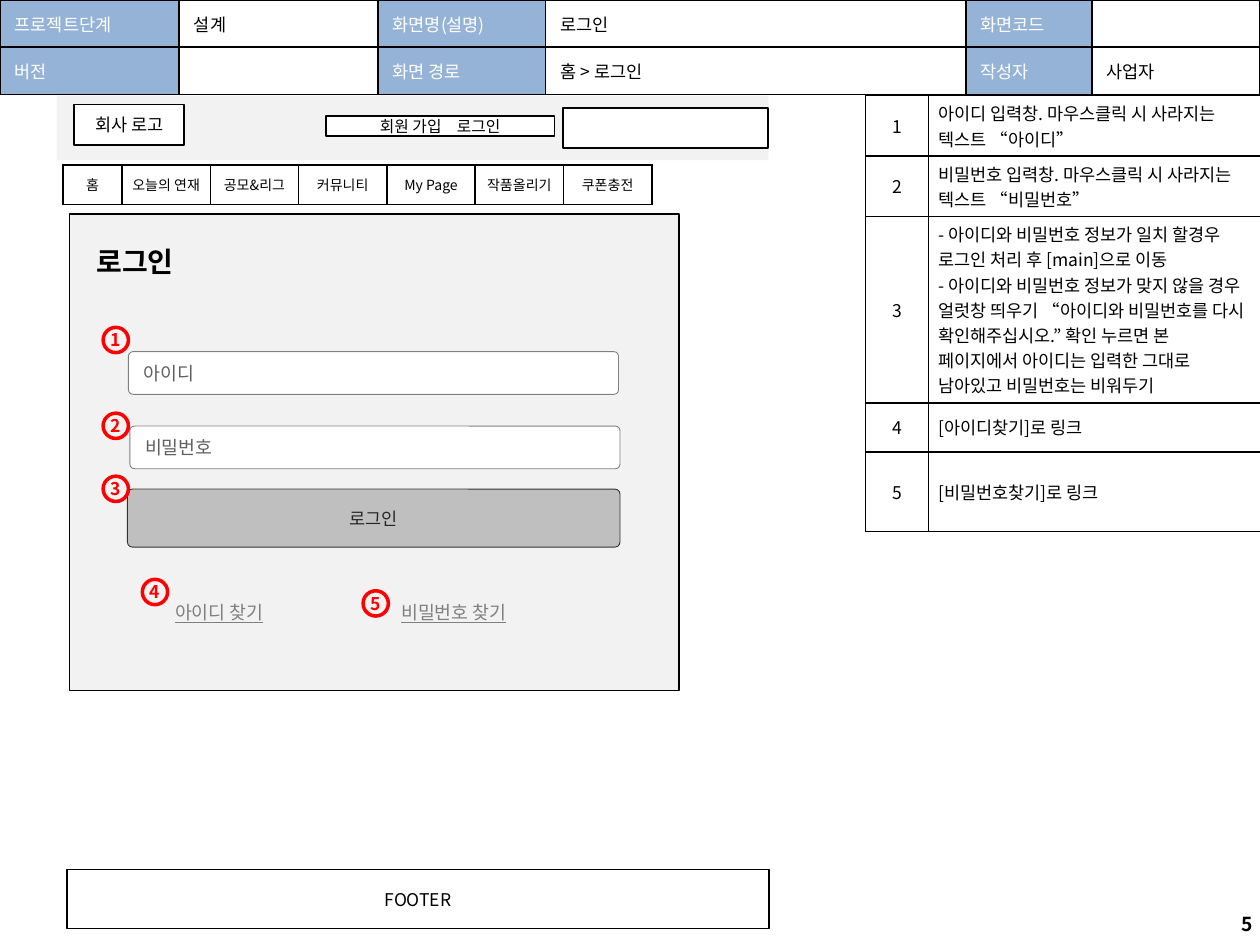
import pptx
import pptx.dml.color
import pptx.enum.shapes
import pptx.enum.text
import pptx.oxml
import pptx.oxml.ns
import pptx.util
from lxml import etree

Cm = pptx.util.Cm
Pt = pptx.util.Pt
Kind = pptx.enum.shapes.MSO_SHAPE
Align = pptx.enum.text.PP_ALIGN
Anchor = pptx.enum.text.MSO_ANCHOR
qn = pptx.oxml.ns.qn


def color(value):
    return pptx.dml.color.RGBColor.from_string(value)


class Wireframe:
    font = "Noto Sans CJK KR"
    black = "000000"
    white = "FFFFFF"
    gray = "F2F2F2"
    label = "95B3D7"
    marker = "FF0000"

    def __init__(self, slide):
        self.slide = slide

    def set_text(self, frame, text, size=10, ink=black, align=Align.LEFT,
                 font=font, bold=False, underline=False):
        frame.text = text
        for paragraph in frame.paragraphs:
            paragraph.alignment = align
            for run in paragraph.runs:
                run.font.size = Pt(size)
                run.font.name = font
                run.font.bold = bold
                run.font.underline = underline
                run.font.color.rgb = color(ink)
                east_asian = etree.SubElement(run.font._element, qn("a:ea"))
                east_asian.set("typeface", self.font)
            if not paragraph.runs:
                end = etree.SubElement(paragraph._p, qn("a:endParaRPr"))
                end.set("sz", str(int(size * 100)))

    def insets(self, frame, horizontal, vertical):
        frame.margin_left = frame.margin_right = Cm(horizontal)
        frame.margin_top = frame.margin_bottom = Cm(vertical)

    def shape(self, box, kind=Kind.RECTANGLE, fill=white, line=black, width=1,
              text="", inset=None, radius=None, align=Align.CENTER, **style):
        shape = self.slide.shapes.add_shape(kind, *map(Cm, box))
        shape.shadow.inherit = False
        if radius is not None:
            shape.adjustments[0] = radius
        if fill:
            shape.fill.solid()
            shape.fill.fore_color.rgb = color(fill)
        else:
            shape.fill.background()
        if line:
            shape.line.color.rgb = color(line)
            shape.line.width = Pt(width)
        else:
            shape.line.fill.background()
        if text:
            frame = shape.text_frame
            frame.word_wrap = True
            frame.vertical_anchor = Anchor.MIDDLE
            if inset:
                self.insets(frame, *inset)
            self.set_text(frame, text, align=align, **style)
        return shape

    def text(self, box, text, inset=None, **style):
        frame = self.slide.shapes.add_textbox(*map(Cm, box)).text_frame
        frame.word_wrap = True
        frame.vertical_anchor = Anchor.MIDDLE
        if inset:
            self.insets(frame, *inset)
        self.set_text(frame, text, **style)

    def field(self, left, top, text):
        self.shape((left, top, 9.88, 0.86), Kind.ROUNDED_RECTANGLE, line="808080",
                   width=0.5, text=text, inset=(0.28, 0.18), radius=0.108,
                   align=Align.LEFT, size=10.5, font="Roboto", ink="5F5F5F")

    def link(self, left, text):
        self.text((left, 12.14, 3.56, 0.41), text, size=10.5, ink="808080",
                  align=Align.CENTER, underline=True)

    def badge(self, number, left, top):
        self.shape((left, top, 0.51, 0.51), Kind.OVAL, fill=None, line=self.marker,
                   width=2, text=str(number), inset=(0, 0), ink=self.marker, bold=True)

    def border(self, cell):
        properties = cell._tc.get_or_add_tcPr()
        for side in ("lnL", "lnR", "lnT", "lnB"):
            line = etree.SubElement(properties, qn("a:" + side), w=str(Pt(1)))
            fill = etree.SubElement(line, qn("a:solidFill"))
            etree.SubElement(fill, qn("a:srgbClr"), val=self.black)

    def table(self, left, top, columns, heights, rows, inset, centered=(),
              labels=(), fill=None, size=10):
        frame = self.slide.shapes.add_table(
            len(rows), len(columns), Cm(left), Cm(top), Cm(sum(columns)), Cm(sum(heights)))
        table = frame.table
        table.first_row = table.horz_banding = False
        for column, width in zip(table.columns, columns):
            column.width = Cm(width)
        for row, height, texts in zip(table.rows, heights, rows):
            row.height = Cm(height)
            for index, (cell, text) in enumerate(zip(row.cells, texts)):
                is_label = index in labels
                self.border(cell)
                cell_fill = self.label if is_label else fill
                if cell_fill:
                    cell.fill.solid()
                    cell.fill.fore_color.rgb = color(cell_fill)
                else:
                    cell.fill.background()
                cell.vertical_anchor = Anchor.MIDDLE
                self.insets(cell, *inset)
                self.set_text(cell.text_frame, text, size=size,
                              ink=self.white if is_label else self.black,
                              align=Align.CENTER if index in centered else Align.LEFT)


def main():
    presentation = pptx.Presentation()
    presentation.slide_width = Cm(25.4)
    presentation.slide_height = Cm(19.05)
    page = Wireframe(presentation.slides.add_slide(presentation.slide_layouts[6]))

    page.shape((1.4, 4.32, 12.29, 9.6), fill=page.gray)
    page.shape((1.14, 1.93, 14.35, 1.3), fill=page.gray, line=None)

    page.table(0, 0, (3.61, 4.01, 3.38, 8.47, 2.54, 3.39), (0.95, 0.95), [
        ("프로젝트단계", "설계", "화면명(설명)", "로그인", "화면코드", ""),
        ("버전", "", "화면 경로", "홈 > 로그인", "작성자", "사업자"),
    ], inset=(0.3, 0.1), labels=(0, 2, 4))

    notes = (
        "아이디 입력창. 마우스클릭 시 사라지는 텍스트 “아이디”",
        "비밀번호 입력창. 마우스클릭 시 사라지는 텍스트 “비밀번호”",
        "- 아이디와 비밀번호 정보가 일치 할경우 로그인 처리 후 [main]으로 이동\n"
        "- 아이디와 비밀번호 정보가 맞지 않을 경우 얼럿창 띄우기 “아이디와 비밀번호를 다시 "
        "확인해주십시오.” 확인 누르면 본 페이지에서 아이디는 입력한 그대로 남아있고 "
        "비밀번호는 비워두기",
        "[아이디찾기]로 링크",
        "[비밀번호찾기]로 링크",
    )
    page.table(17.45, 1.93, (1.27, 6.73), (0.86, 0.79, 0.76, 0.99, 1.6),
               [(str(number), note) for number, note in enumerate(notes, 1)],
               inset=(0.2, 0.1), centered=(0,))

    menu = ("홈", "오늘의 연재", "공모&리그", "커뮤니티", "My Page", "작품올리기", "쿠폰충전")
    page.table(1.27, 3.33, (1.19,) + (1.78,) * 6, (0.79,), [menu],
               inset=(0.1, 0.13), centered=range(len(menu)), fill=page.white, size=8)

    page.text((19.58, 18.11, 5.92, 1.02), "5", size=11, bold=True, align=Align.RIGHT)
    page.shape((1.5, 2.11, 2.21, 0.81), text="회사 로고")
    member = page.shape((6.58, 2.34, 4.6, 0.41), text="회원 가입\t로그인",
                        inset=(0, 0), align=Align.LEFT, size=9)
    member.text_frame.margin_left = Cm(1.08)
    properties = member.text_frame.paragraphs[0]._p.get_or_add_pPr()
    tabs = etree.SubElement(properties, qn("a:tabLst"))
    etree.SubElement(tabs, qn("a:tab"), pos=str(Cm(1.55)), algn="l")
    page.shape((11.35, 2.18, 4.14, 0.81))
    page.shape((1.35, 17.53, 14.15, 1.19), text="FOOTER")

    page.field(2.59, 7.09, "아이디")
    page.field(2.62, 8.59, "비밀번호")
    page.shape((2.57, 9.86, 9.93, 1.17), Kind.ROUNDED_RECTANGLE, fill="BFBFBF",
               line="333333", width=0.5, text="로그인", radius=0.088,
               font="Calibri", ink="262626")
    page.text((1.75, 4.8, 2.11, 0.94), "로그인", inset=(0.2, 0.1), size=16, bold=True)
    page.link(7.37, "비밀번호 찾기")
    page.link(2.64, "아이디 찾기")

    badges = ((2.08, 6.6), (2.08, 8.33), (2.08, 9.6), (2.87, 11.68), (7.32, 11.91))
    for number, (left, top) in enumerate(badges, 1):
        page.badge(number, left, top)

    presentation.save("out.pptx")


if __name__ == "__main__":
    main()
